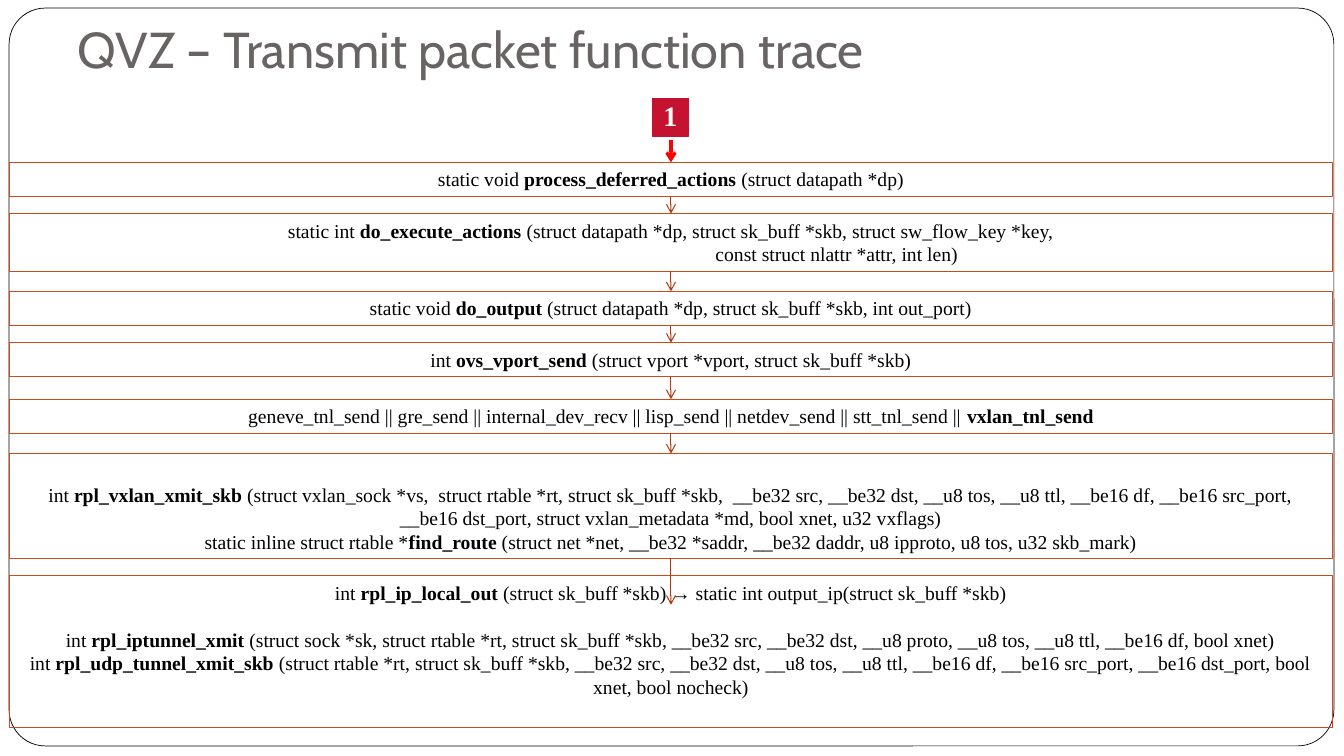
"""Build the slide that traces the functions a virtual switch uses to transmit a packet."""
from dataclasses import dataclass

from lxml import etree
from pptx import Presentation
from pptx.dml.color import RGBColor
from pptx.enum.shapes import MSO_CONNECTOR, MSO_SHAPE
from pptx.enum.text import MSO_ANCHOR, PP_ALIGN
from pptx.oxml.ns import qn
from pptx.util import Inches, Pt

RECTANGLE = MSO_SHAPE.RECTANGLE
ROUNDED = MSO_SHAPE.ROUNDED_RECTANGLE
STRAIGHT = MSO_CONNECTOR.STRAIGHT
TOP, MIDDLE, BOTTOM = MSO_ANCHOR.TOP, MSO_ANCHOR.MIDDLE, MSO_ANCHOR.BOTTOM
CENTER = PP_ALIGN.CENTER
TOP_SIDE, BOTTOM_SIDE = 0, 2

SERIF = "Times New Roman"
BLACK, WHITE = "000000", "FFFFFF"
BOX_LINE, ARROW_LINE, RED, CRIMSON = "D34817", "B1360B", "FF0000", "C41230"
BOX_LEFT, BOX_WIDTH = 0.09, 13.13
AXIS = BOX_LEFT + BOX_WIDTH / 2


@dataclass
class Line:
    """One paragraph: plain text, a bold function name, plain text."""
    before: str
    name: str = ""
    after: str = ""
    indent: float = 0
    gap: float = 0


@dataclass
class Step:
    """One box of the trace."""
    top: float
    height: float
    lines: list[Line]
    anchor: MSO_ANCHOR = TOP


STEPS = [
    Step(1.61, 0.34, [Line("static void ", "process_deferred_actions", " (struct datapath *dp)")]),
    Step(2.12, 0.57, [
        Line("static int ", "do_execute_actions",
             " (struct datapath *dp, struct sk_buff *skb, struct sw_flow_key *key,"),
        Line("const struct nlattr *attr, int len)", indent=3.29),
    ]),
    Step(2.89, 0.34, [
        Line("static void ", "do_output", " (struct datapath *dp, struct sk_buff *skb, int out_port)"),
    ]),
    Step(3.4, 0.34, [Line("int ", "ovs_vport_send", " (struct vport *vport, struct sk_buff *skb)")]),
    Step(3.96, 0.34, [
        Line("geneve_tnl_send || gre_send || internal_dev_recv || lisp_send || "
             "netdev_send || stt_tnl_send || ", "vxlan_tnl_send"),
    ]),
    Step(4.5, 1.04, [
        Line("int ", "rpl_vxlan_xmit_skb",
             " (struct vxlan_sock *vs,  struct rtable *rt, struct sk_buff *skb,  __be32 src, "
             "__be32 dst, __u8 tos, __u8 ttl, __be16 df, __be16 src_port, __be16 dst_port, "
             "struct vxlan_metadata *md, bool xnet, u32 vxflags)"),
        Line("static inline struct rtable *", "find_route",
             " (struct net *net, __be32 *saddr, __be32 daddr, u8 ipproto, u8 tos, u32 skb_mark)"),
    ], BOTTOM),
    Step(5.71, 1.51, [
        Line("int ", "rpl_ip_local_out",
             " (struct sk_buff *skb) → static int output_ip(struct sk_buff *skb)"),
        Line("int ", "rpl_iptunnel_xmit",
             " (struct sock *sk, struct rtable *rt, struct sk_buff *skb, __be32 src, __be32 dst, "
             "__u8 proto, __u8 tos, __u8 ttl, __be16 df, bool xnet)", gap=17),
        Line("int ", "rpl_udp_tunnel_xmit_skb",
             " (struct rtable *rt, struct sk_buff *skb, __be32 src, __be32 dst, __u8 tos, "
             "__u8 ttl, __be16 df, __be16 src_port, __be16 dst_port, bool xnet, bool nocheck)"),
    ]),
]


def color(value: str) -> RGBColor:
    return RGBColor.from_string(value)


def add_run(paragraph, text: str, size: float, value: str, font: str = SERIF, bold: bool = False):
    run = paragraph.add_run()
    run.text = text
    run.font.name = font
    run.font.size = Pt(size)
    run.font.bold = bold
    run.font.color.rgb = color(value)


def add_box(slide, kind, left: float, top: float, width: float, height: float,
            line: str, line_width: float, fill: str = ""):
    shape = slide.shapes.add_shape(kind, Inches(left), Inches(top), Inches(width), Inches(height))
    shape.shadow.inherit = False
    if fill:
        shape.fill.solid()
        shape.fill.fore_color.rgb = color(fill)
    else:
        shape.fill.background()
    shape.line.color.rgb = color(line)
    shape.line.width = Pt(line_width)
    return shape


def add_step(slide, step: Step):
    shape = add_box(slide, RECTANGLE, BOX_LEFT, step.top, BOX_WIDTH, step.height, BOX_LINE, 0.75)
    frame = shape.text_frame
    frame.word_wrap = True
    frame.vertical_anchor = step.anchor
    for index, line in enumerate(step.lines):
        paragraph = frame.add_paragraph() if index else frame.paragraphs[0]
        paragraph.alignment = CENTER
        if line.gap:
            paragraph.space_before = Pt(line.gap)
        if line.indent:
            paragraph._p.get_or_add_pPr().set("marL", str(Inches(line.indent)))
        for text, bold in ((line.before, False), (line.name, True), (line.after, False)):
            if text:
                add_run(paragraph, text, 14, BLACK, bold=bold)
    return shape


def add_arrow(slide, start: float, end: float, value: str = ARROW_LINE, width: float = 0.75):
    arrow = slide.shapes.add_connector(
        STRAIGHT, Inches(AXIS), Inches(start), Inches(AXIS), Inches(end))
    arrow.line.color.rgb = color(value)
    arrow.line.width = Pt(width)
    etree.SubElement(arrow.line._get_or_add_ln(), qn("a:tailEnd"), type="arrow")
    etree.SubElement(arrow._element.spPr, qn("a:effectLst"))
    return arrow


def add_title(slide, text: str):
    title = slide.shapes.add_textbox(Inches(0.67), Inches(0.3), Inches(12), Inches(0.58))
    frame = title.text_frame
    frame.word_wrap = True
    frame.vertical_anchor = BOTTOM
    frame.margin_bottom = Inches(0.1)
    add_run(frame.paragraphs[0], text, 36, "696464", "Cabin")


def add_badge(slide, text: str):
    badge = add_box(slide, RECTANGLE, 6.47, 0.98, 0.36, 0.37, CRIMSON, 1, CRIMSON)
    frame = badge.text_frame
    frame.vertical_anchor = MIDDLE
    paragraph = frame.paragraphs[0]
    paragraph.alignment = CENTER
    paragraph.line_spacing = 0.9
    add_run(paragraph, text, 20, WHITE, bold=True)


def main():
    presentation = Presentation()
    presentation.slide_width = Inches(13.33)
    presentation.slide_height = Inches(7.5)
    slide = presentation.slides.add_slide(presentation.slide_layouts[6])

    border = add_box(slide, ROUNDED, 0.09, 0.08, 13.14, 7.32, BLACK, 0.5, WHITE)
    border.adjustments[0] = 0.049
    add_title(slide, "QVZ – Transmit packet function trace")

    boxes = [add_step(slide, step) for step in STEPS]
    for index in range(len(STEPS) - 2):
        upper, lower = STEPS[index], STEPS[index + 1]
        arrow = add_arrow(slide, upper.top + upper.height, lower.top)
        arrow.begin_connect(boxes[index], BOTTOM_SIDE)
        arrow.end_connect(boxes[index + 1], TOP_SIDE)
    last_arrow = add_arrow(slide, 5.54, 6)
    last_arrow.begin_connect(boxes[-2], BOTTOM_SIDE)
    entry_arrow = add_arrow(slide, 1.39, STEPS[0].top, RED, 2.25)
    entry_arrow.end_connect(boxes[0], TOP_SIDE)
    add_badge(slide, "1")
    presentation.save("out.pptx")


if __name__ == "__main__":
    main()
